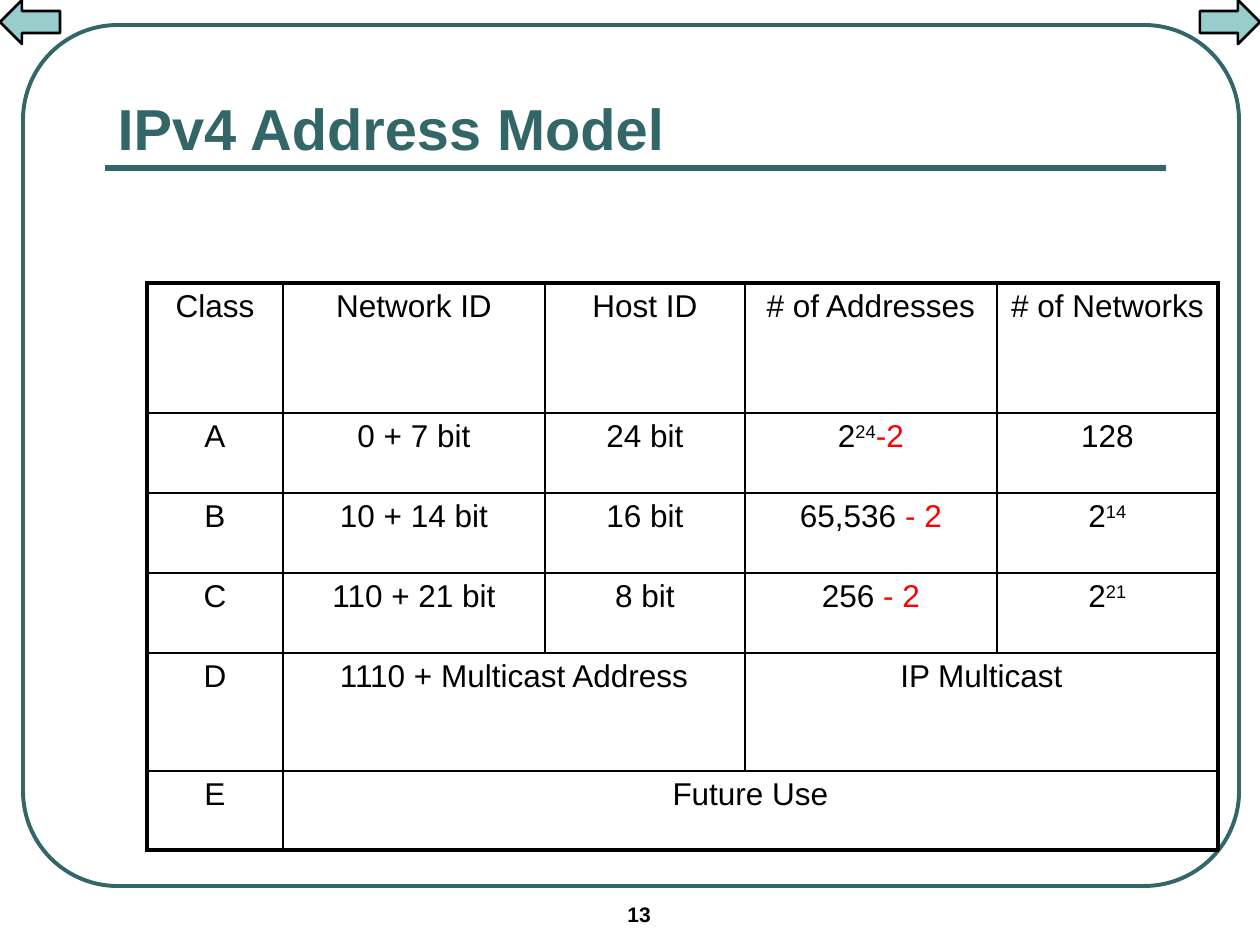
from lxml import etree
from pptx import Presentation
from pptx import util as u
from pptx.dml.color import RGBColor
from pptx.enum import shapes, text
from pptx.oxml.ns import qn

PX = 914400 / 126
TEAL, AQUA, BLACK, WHITE, RED = "336666", "97CDCC", "000000", "FFFFFF", "FF0000"
THICK, THIN = 2.25, 1

TITLE = "IPv4 Address Model"
NUMBER = "13"
GRID = (147, 283, 1071, 567)
COLS = [136, 262, 200, 252, 221]
ROWS = [130, 80, 80, 80, 118, 79]

# A cell is a string or a list of (text, format) runs; None joins the cell to its left.
SUP, LESS = {"sup": True}, {"tint": RED}
CELLS = [
    ["Class", "Network ID", "Host ID", "# of Addresses", "# of Networks"],
    ["A", "0 + 7 bit", "24 bit", [("2", {}), ("24", SUP), ("-2", LESS)], "128"],
    ["B", "10 + 14 bit", "16 bit", [("65,536 ", {}), ("- 2", LESS)], [("2", {}), ("14", SUP)]],
    ["C", "110 + 21 bit", "8 bit", [("256 ", {}), ("- 2", LESS)], [("2", {}), ("21", SUP)]],
    ["D", "1110 + Multicast Address", None, "IP Multicast", None],
    ["E", "Future Use", None, None, None],
]


def px(*nums):
    return [u.Emu(round(n * PX)) for n in nums]


def rgb(tint):
    return RGBColor.from_string(tint)


def write(para, words, size=18, tint=BLACK, bold=False, sup=False, align=text.PP_ALIGN.LEFT):
    para.alignment = align
    run = para.add_run()
    run.text = words
    font = run.font
    font.name, font.size, font.bold = "Arial", u.Pt(size), bold
    font.color.rgb = rgb(tint)
    if sup:
        run._r.get_or_add_rPr().set("baseline", "30000")


def draw(kind, box, line, width, fill=None):
    shape = slide.shapes.add_shape(kind, *px(*box))
    shape.shadow.inherit = False
    if fill:
        shape.fill.solid()
        shape.fill.fore_color.rgb = rgb(fill)
    else:
        shape.fill.background()
    shape.line.color.rgb = rgb(line)
    shape.line.width = u.Pt(width)
    return shape


def edge(cell, row, col):
    """Rule the cell, thick along the outside of the table."""
    outer = {"lnL": col == 0, "lnR": col == len(COLS) - 1,
             "lnT": row == 0, "lnB": row == len(ROWS) - 1}
    props = cell._tc.get_or_add_tcPr()
    for tag, out in outer.items():
        line = etree.SubElement(props, qn("a:" + tag), w=str(u.Pt(THICK if out else THIN)))
        fill = etree.SubElement(line, qn("a:solidFill"))
        etree.SubElement(fill, qn("a:srgbClr"), val=BLACK)


deck = Presentation()
deck.slide_width, deck.slide_height = px(1260, 945)
slide = deck.slides.add_slide(deck.slide_layouts[5])

# Frame, rule and arrows
auto = shapes.MSO_SHAPE
frame = draw(auto.ROUNDED_RECTANGLE, (23, 25, 1216, 861), TEAL, THICK)
frame.adjustments[0] = 0.11
rule = slide.shapes.add_connector(shapes.MSO_CONNECTOR.STRAIGHT, *px(105, 168, 1166, 168))
rule.line.color.rgb = rgb(TEAL)
rule.line.width = u.Pt(3)
etree.SubElement(rule._element.spPr, qn("a:effectLst"))
for kind, left in ((auto.RIGHT_ARROW, 1200), (auto.LEFT_ARROW, 0)):
    draw(kind, (left, 0, 60, 44), BLACK, 1.5, AQUA)

# Page number
page = slide.shapes.add_textbox(*px(615, 895, 147, 42)).text_frame
page.word_wrap = True
write(page.paragraphs[0], NUMBER, size=12, bold=True)

# Title
title = slide.shapes.title
title.left, title.top, title.width, title.height = px(105, 73, 1061, 95)
title.text_frame.vertical_anchor = text.MSO_ANCHOR.BOTTOM
title.text_frame.auto_size = text.MSO_AUTO_SIZE.NONE
write(title.text_frame.paragraphs[0], TITLE, size=33, tint=TEAL, bold=True)

# Address table on its white panel
draw(auto.RECTANGLE, GRID, BLACK, THICK, WHITE)
table = slide.shapes.add_table(len(ROWS), len(COLS), *px(*GRID)).table
table.first_row = table.horz_banding = False
for col, width in zip(table.columns, px(*COLS)):
    col.width = width
for row, height in zip(table.rows, px(*ROWS)):
    row.height = height

for r, line in enumerate(CELLS):
    for c, item in enumerate(line):
        cell = table.cell(r, c)
        edge(cell, r, c)
        cell.fill.background()
        if item is None:
            continue
        last = c
        while last + 1 < len(line) and line[last + 1] is None:
            last += 1
        if last > c:
            cell.merge(table.cell(r, last))
        runs = [(item, {})] if isinstance(item, str) else item
        for words, style in runs:
            write(cell.text_frame.paragraphs[0], words, align=text.PP_ALIGN.CENTER, **style)

deck.save("out.pptx")
